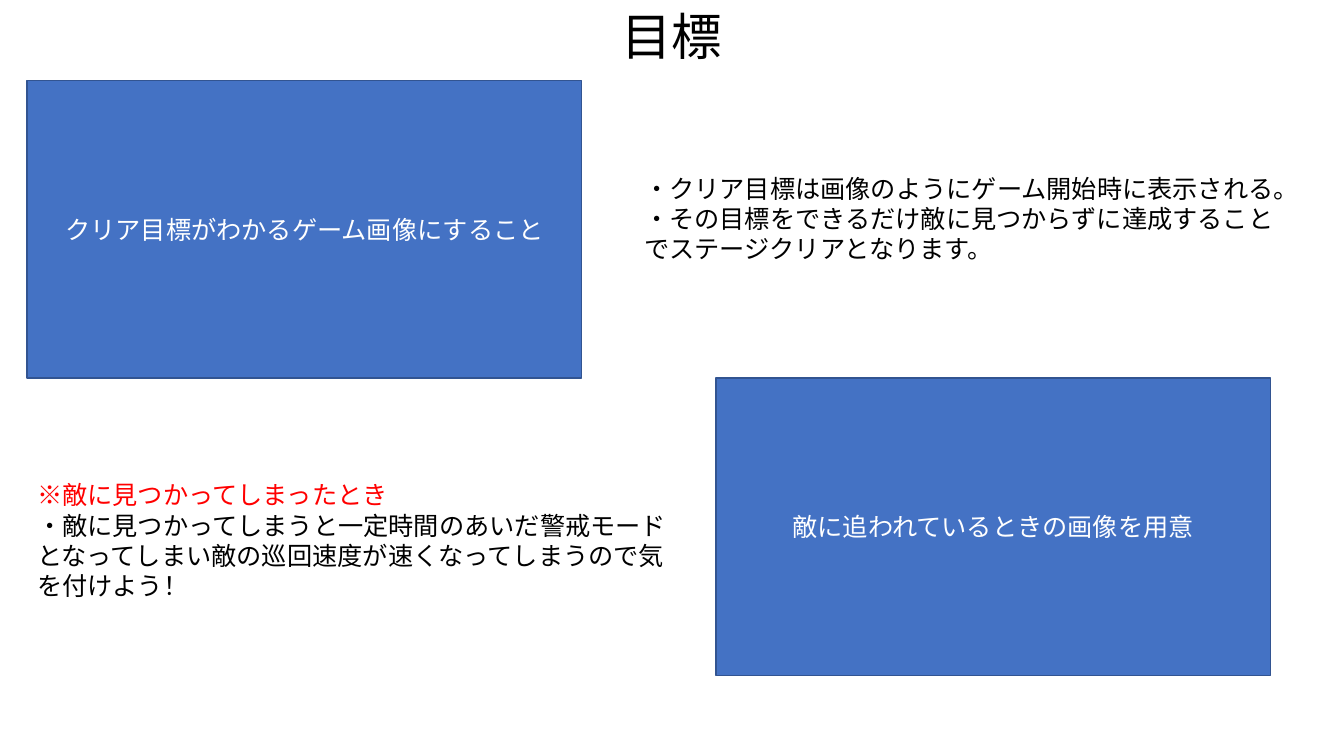
from dataclasses import dataclass

from lxml import etree
from pptx import Presentation
from pptx.dml.color import RGBColor
from pptx.enum.shapes import MSO_SHAPE
from pptx.enum.text import MSO_ANCHOR, PP_ALIGN
from pptx.oxml.ns import qn
from pptx.slide import Slide
from pptx.text.text import TextFrame
from pptx.util import Inches, Pt

FONT = "Noto Sans CJK JP"
BLACK, WHITE, RED = "000000", "FFFFFF", "FF0000"
BLUE, DARK_BLUE = "4472C4", "325491"
LINE_HEIGHT = 1.2
FRAME_WIDTH, FRAME_HEIGHT = 5.5, 2.95


@dataclass
class Line:
    """One paragraph and its colour."""
    text: str
    color: str = BLACK


@dataclass
class TextBlock:
    """A text box, measured in inches, with its paragraphs."""
    left: float
    top: float
    width: float
    height: float
    lines: list[Line]
    size: int = 18
    align: PP_ALIGN = PP_ALIGN.LEFT


@dataclass
class ImageFrame:
    """A blue frame that reserves room for a game image."""
    left: float
    top: float
    caption: str


def rgb(color: str) -> RGBColor:
    """Turn a hex string into a colour."""
    return RGBColor.from_string(color)


def write_lines(frame: TextFrame, lines: list[Line], size: int, align: PP_ALIGN) -> None:
    """Fill a text frame with one paragraph for each line."""
    frame.word_wrap = True
    for index, line in enumerate(lines):
        paragraph = frame.add_paragraph() if index else frame.paragraphs[0]
        paragraph.alignment = align
        paragraph.line_spacing = Pt(size * LINE_HEIGHT)
        run = paragraph.add_run()
        run.text = line.text
        run.font.name = FONT
        run.font.size = Pt(size)
        run.font.color.rgb = rgb(line.color)
        east_asian = etree.SubElement(run.font._element, qn("a:ea"))
        east_asian.set("typeface", FONT)


def draw_text(slide: Slide, block: TextBlock) -> None:
    """Draw a text block."""
    box = slide.shapes.add_textbox(Inches(block.left), Inches(block.top),
                                   Inches(block.width), Inches(block.height))
    write_lines(box.text_frame, block.lines, block.size, block.align)


def draw_frame(slide: Slide, frame: ImageFrame) -> None:
    """Draw an image frame with its centred caption."""
    shape = slide.shapes.add_shape(MSO_SHAPE.RECTANGLE, Inches(frame.left), Inches(frame.top),
                                   Inches(FRAME_WIDTH), Inches(FRAME_HEIGHT))
    shape.shadow.inherit = False
    shape.fill.solid()
    shape.fill.fore_color.rgb = rgb(BLUE)
    shape.line.color.rgb = rgb(DARK_BLUE)
    shape.line.width = Pt(1)
    shape.text_frame.vertical_anchor = MSO_ANCHOR.MIDDLE
    write_lines(shape.text_frame, [Line(frame.caption, WHITE)], 18, PP_ALIGN.CENTER)


FRAMES = [
    ImageFrame(0.27, 0.8, "クリア目標がわかるゲーム画像にすること"),
    ImageFrame(7.1, 0.8 + FRAME_HEIGHT, "敵に追われているときの画像を用意"),
]
TEXTS = [
    TextBlock(0, 0, 13.33, 0.71, [Line("目標")], 36, PP_ALIGN.CENTER),
    TextBlock(6.29, 1.67, 6.61, 1.01, [
        Line("・クリア目標は画像のようにゲーム開始時に表示される。"),
        Line("・その目標をできるだけ敵に見つからずに達成することでステージクリアとなります。"),
    ]),
    TextBlock(0.27, 4.71, 6.61, 1.31, [
        Line("※敵に見つかってしまったとき", RED),
        Line("・敵に見つかってしまうと一定時間のあいだ警戒モードとなってしまい"
             "敵の巡回速度が速くなってしまうので気を付けよう!".replace("!", "！")),
    ]),
]


def main() -> None:
    """Build the slide and save it."""
    deck = Presentation()
    deck.slide_width, deck.slide_height = Inches(13.33), Inches(7.5)
    slide = deck.slides.add_slide(deck.slide_layouts[6])
    for frame in FRAMES:
        draw_frame(slide, frame)
    for block in TEXTS:
        draw_text(slide, block)
    deck.save("out.pptx")


main()
